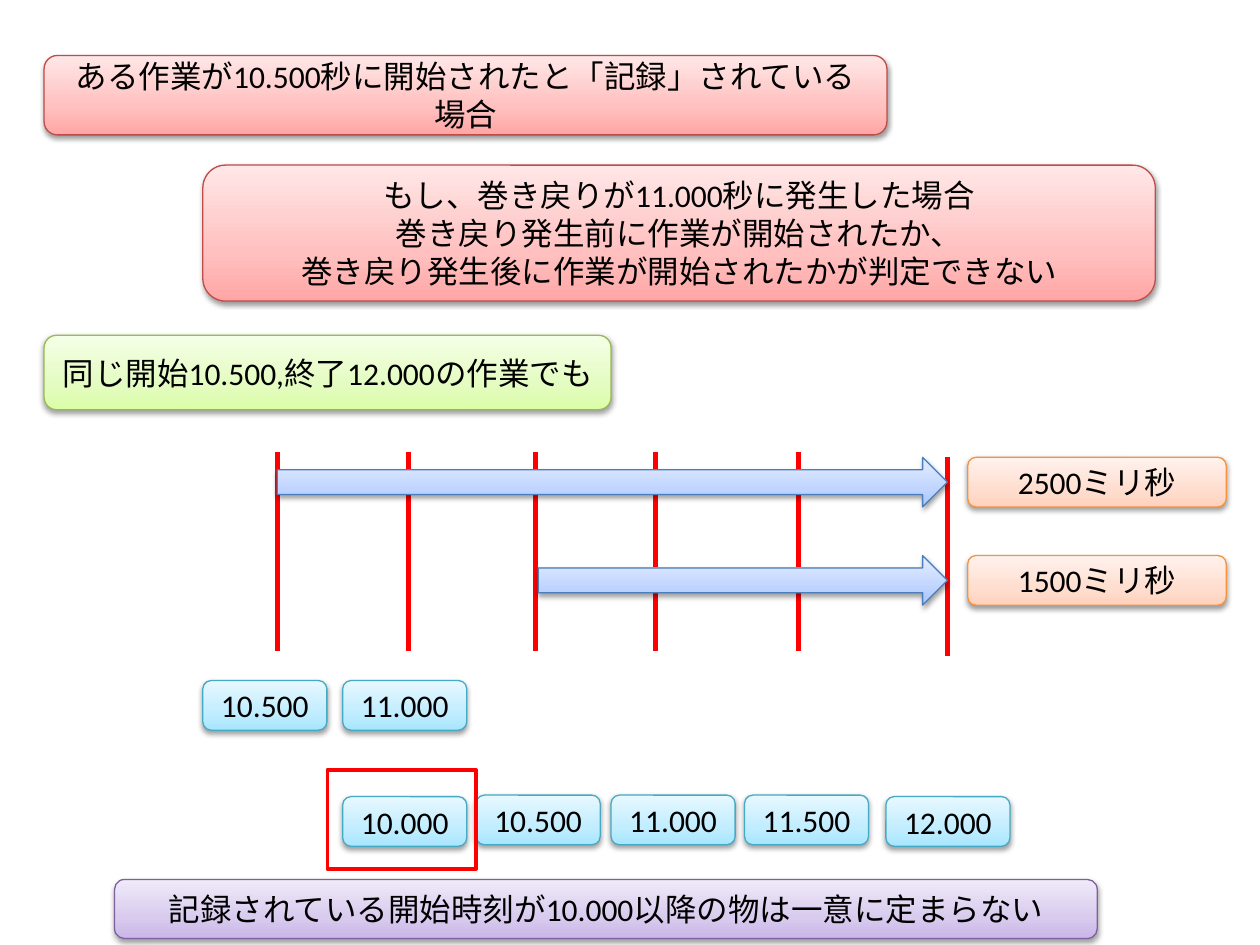
from lxml.etree import SubElement
from pptx import Presentation
from pptx.dml.color import RGBColor
from pptx.enum.shapes import MSO_CONNECTOR, MSO_SHAPE
from pptx.enum.text import MSO_ANCHOR, PP_ALIGN
from pptx.oxml.ns import qn
from pptx.util import Cm, Pt

# Gradient stops at 0, 35 and 100 %, then the outline
RED = ("FFA6A5", "FFC0BF", "FFE7E7", "BF4C48")
GREEN = ("DAFDA7", "E4FCC2", "F5FFE7", "98B955")
CYAN = ("A7E6FF", "C1EDFF", "E7F8FF", "46AAC5")
BLUE = ("A4C4FF", "BFD4FF", "E6EEFF", "4B7EBC")
ORANGE = ("FFD2BD", "FFDED0", "FFF2ED", "F69240")
PURPLE = ("C9B5E8", "D8CBEE", "F0EAF9", "7D60A0")
MARK = "FF0000"
ROW = 1.0  # height of arrows, durations and time labels


def color(value):
    return RGBColor.from_string(value)


def add_color(parent, value):
    return SubElement(parent, qn("a:srgbClr"), val=value)


def style_gradient(shape, palette):
    """Upward three-stop gradient, thin outline and soft drop shadow."""
    *stops, outline = palette
    shape.fill.gradient()
    properties = shape._element.spPr
    gradient = properties.find(qn("a:gradFill"))
    for child in list(gradient):
        gradient.remove(child)
    stop_list = SubElement(gradient, qn("a:gsLst"))
    for position, value in zip((0, 35000, 100000), stops):
        add_color(SubElement(stop_list, qn("a:gs"), pos=str(position)), value)
    SubElement(gradient, qn("a:lin"), ang="16200000", scaled="0")

    shape.line.color.rgb = color(outline)
    shape.line.width = Pt(0.75)
    shape.shadow.inherit = False
    shadow = SubElement(properties.find(qn("a:effectLst")), qn("a:outerShdw"),
                        blurRad="40000", dist="20000", dir="5400000", rotWithShape="0")
    SubElement(add_color(shadow, "000000"), qn("a:alpha"), val="38000")


def add_panel(slide, box, palette, lines=(), preset=MSO_SHAPE.ROUNDED_RECTANGLE):
    panel = slide.shapes.add_shape(preset, *map(Cm, box))
    style_gradient(panel, palette)
    frame = panel.text_frame
    frame.word_wrap = True
    frame.vertical_anchor = MSO_ANCHOR.MIDDLE
    for index, line in enumerate(lines):
        paragraph = frame.add_paragraph() if index else frame.paragraphs[0]
        paragraph.alignment = PP_ALIGN.CENTER
        run = paragraph.add_run()
        run.text = line
        run.font.name = "Calibri"
        run.font.size = Pt(18)
        run.font.color.rgb = color("000000")


def add_tick(slide, x, top, height):
    tick = slide.shapes.add_connector(
        MSO_CONNECTOR.STRAIGHT, Cm(x), Cm(top), Cm(x), Cm(top + height))
    tick.line.color.rgb = color(MARK)
    tick.line.width = Pt(3)
    SubElement(tick._element.spPr, qn("a:effectLst"))


def add_premises(slide, left, top):
    add_panel(slide, (left, top, 16.99, 1.6), RED,
              ["ある作業が10.500秒に開始されたと「記録」されている場合"])
    add_panel(slide, (left + 3.2, top + 2.21, 19.2, 2.74), RED,
              ["もし、巻き戻りが11.000秒に発生した場合",
               "巻き戻り発生前に作業が開始されたか、",
               "巻き戻り発生後に作業が開始されたかが判定できない"])
    add_panel(slide, (left, top + 5.64, 11.43, 1.5), GREEN,
              ["同じ開始10.500,終了12.000の作業でも"])


def add_ticks(slide, left, top):
    for offset in (0, 2.64, 5.21, 7.62, 10.51):
        add_tick(slide, left + offset, top, 4)
    add_tick(slide, left + 13.51, top + 0.1, 4)


def add_time_labels(slide, left, top):
    """Clock readings before (upper row) and after (lower row) the rewind."""
    readings = [
        ("10.500", 0, 0), ("11.000", 2.82, 0),
        ("10.500", 5.51, 2.31), ("10.000", 2.82, 2.34), ("11.000", 8.23, 2.31),
        ("11.500", 10.92, 2.31), ("12.000", 13.77, 2.34),
    ]
    for reading, dx, dy in readings:
        add_panel(slide, (left + dx, top + dy, 2.5, ROW), CYAN, [reading])


def add_spans(slide, left, top, width):
    """Both possible runs, ending together, with their durations."""
    end = left + width
    for offset, dy in ((5.26, 1.98), (0, 0)):
        add_panel(slide, (left + offset, top + dy, width - offset, ROW), BLUE,
                  preset=MSO_SHAPE.RIGHT_ARROW)
    for duration, dy in (("2500ミリ秒", 0), ("1500ミリ秒", 1.98)):
        add_panel(slide, (end + 0.41, top + dy, 5.21, ROW), ORANGE, [duration])


def add_highlight(slide, box):
    highlight = slide.shapes.add_shape(MSO_SHAPE.RECTANGLE, *map(Cm, box))
    highlight.fill.background()
    highlight.line.color.rgb = color(MARK)
    highlight.line.width = Pt(2)
    highlight.shadow.inherit = False


def main():
    deck = Presentation()
    deck.slide_width, deck.slide_height = Cm(25.4), Cm(19.05)
    slide = deck.slides.add_slide(deck.slide_layouts[6])
    add_premises(slide, 0.89, 1.12)
    add_ticks(slide, 5.59, 9.12)
    add_time_labels(slide, 4.09, 13.72)
    add_spans(slide, 5.59, 9.22, 13.51)
    add_highlight(slide, (6.6, 15.52, 3, 2))
    add_panel(slide, (2.31, 17.73, 19.81, 1.19), PURPLE,
              ["記録されている開始時刻が10.000以降の物は一意に定まらない"])
    deck.save("out.pptx")


if __name__ == "__main__":
    main()
